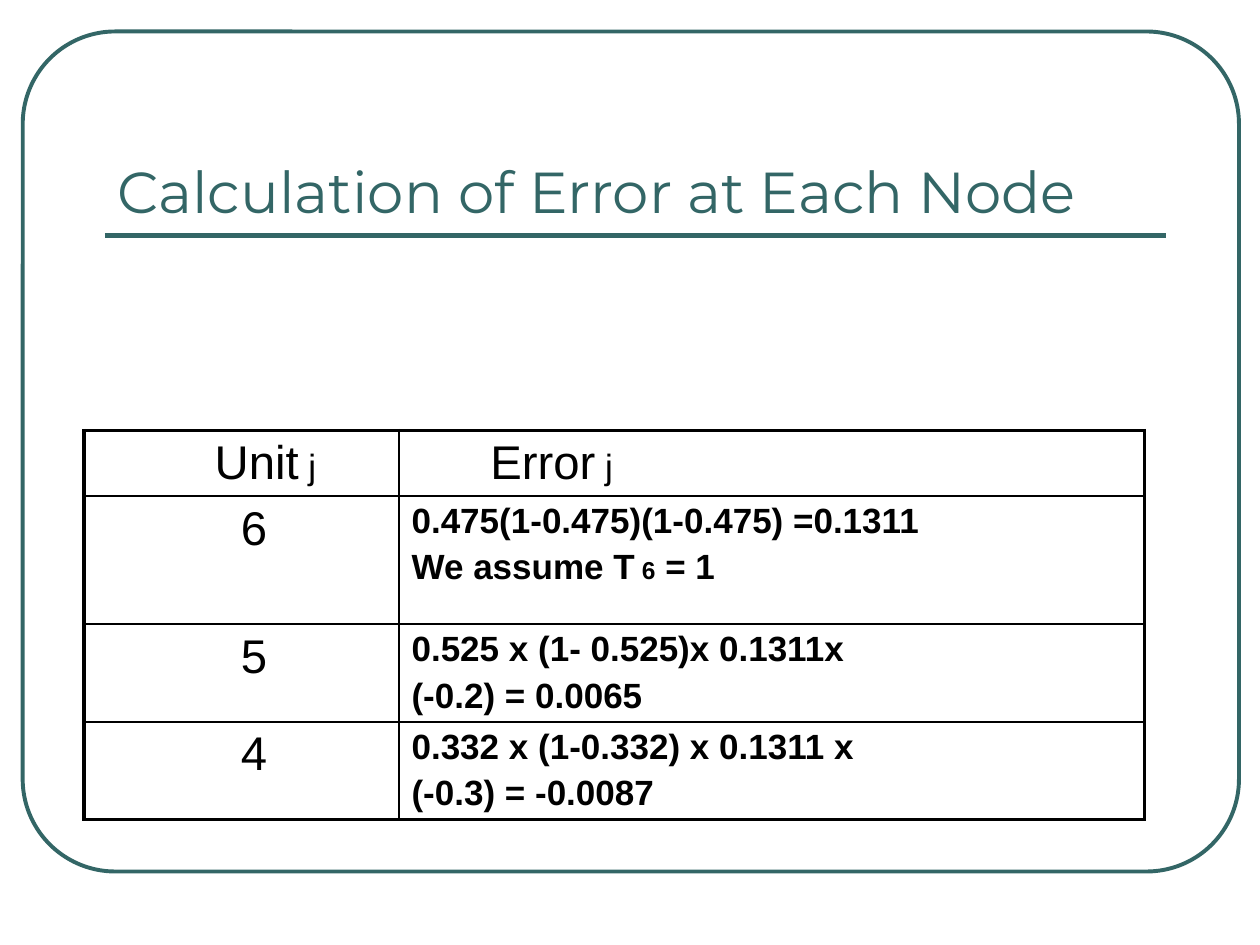
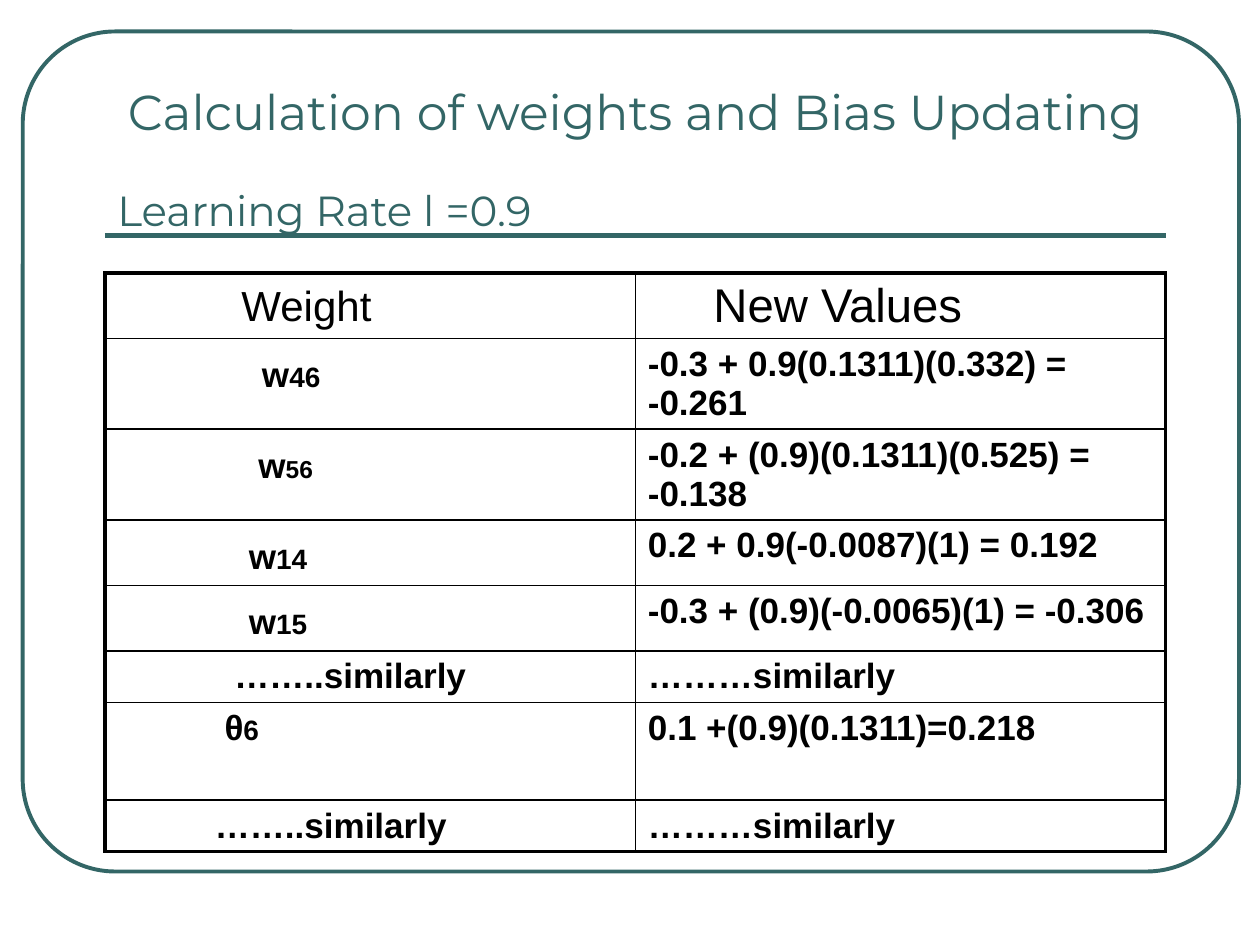
import pptx
import pptx.util
import pptx.dml.color
import pptx.enum.shapes
import pptx.enum.text
import pptx.oxml.ns
import lxml.etree

Pt = pptx.util.Pt

# Shared look
TEAL, BLACK = "336666", "000000"
TITLE_FONT, TABLE_FONT = "Montserrat", "Arial"
OUTER, INNER = 2.25, 1
HEAD, BODY = 27, 20
TOP_PADDING = 3.6
ASCENT = 0.905

# A cell is (indent, line size, paragraphs); a paragraph is a list of
# (text, size, bold). The line size sets how low the first line sits.


def formula(*lines):
    return 0, BODY, [[(line, BODY, True)] for line in lines]


def unit(number):
    return 82.5, HEAD, [[(number, HEAD, False)]]


def symbol(indent, letter, index, size=16, line_size=HEAD):
    return indent, line_size, [[(letter, BODY, True), (index, size, True)]]


def similarly(indent, text):
    return indent, BODY, [[(text, BODY, True)]]


# Content; each table row is (height, cells)
PAGES = [
    {
        "headings": [
            ("Calculation of Error at Each Node", 33, (60, 42, 606, 90)),
        ],
        "table_corner": (48, 246),
        "columns": (180, 426),
        "rows": [
            (37.4, [(67.5, HEAD, [[("Unit", HEAD, False), (" j", 20, False)]]),
                    (45, HEAD, [[("Error", HEAD, False), (" j", 20, False)]])]),
            (73.2, [unit("6"),
                    (0, BODY, [[("0.475(1-0.475)(1-0.475) =0.1311", BODY, True)],
                               [("We assume T", BODY, True), (" 6", 14, True),
                                (" = 1", BODY, True)]])]),
            (55.9, [unit("5"),
                    formula("0.525 x (1- 0.525)x 0.1311x", "(-0.2) = 0.0065")]),
            (55.9, [unit("4"),
                    formula("0.332 x (1-0.332) x 0.1311 x", "(-0.3) = -0.0087")]),
        ],
    },
    {
        "headings": [
            ("Calculation of weights and Bias Updating", 28, (66, 18, 606, 66)),
            ("Learning Rate l =0.9", 24, (60, 78, 606, 60)),
        ],
        "table_corner": (60, 156),
        "columns": (303, 303),
        "rows": [
            (37.4, [(70.8, HEAD, [[("Weight", 24, False)]]),
                    (37.5, HEAD, [[("New Values", HEAD, False)]])]),
            (51.9, [symbol(82.5, "w", "46"),
                    formula("-0.3 + 0.9(0.1311)(0.332) = -0.261")]),
            (51.9, [symbol(80.5, "w", "56", 14),
                    formula("-0.2 + (0.9)(0.1311)(0.525) = -0.138")]),
            (37.4, [symbol(75, "w", "14"),
                    formula("0.2 + 0.9(-0.0087)(1) = 0.192")]),
            (37.4, [symbol(75, "w", "15"),
                    formula("-0.3 + (0.9)(-0.0065)(1) = -0.306")]),
            (29.5, [similarly(66.7, "……..similarly"), formula("………similarly")]),
            (55.8, [symbol(61.1, "θ", "6", line_size=BODY),
                    formula("0.1 +(0.9)(0.1311)=0.218")]),
            (29.5, [similarly(55.6, "……..similarly"), formula("………similarly")]),
        ],
    },
]


def color(value):
    return pptx.dml.color.RGBColor.from_string(value)


def style(span, size, font, value, bold=False):
    span.font.size = Pt(size)
    span.font.name = font
    span.font.bold = bold
    span.font.color.rgb = color(value)


def child(parent, tag, **attributes):
    return lxml.etree.SubElement(parent, pptx.oxml.ns.qn(tag), attributes)


# Rounded frame and the rule under the title
def add_frame(page):
    frame = page.shapes.add_shape(
        pptx.enum.shapes.MSO_SHAPE.ROUNDED_RECTANGLE,
        Pt(13), Pt(18), Pt(695), Pt(480))
    frame.adjustments[0] = 0.11
    frame.shadow.inherit = False
    frame.fill.background()
    frame.line.color.rgb = color(TEAL)
    frame.line.width = Pt(2.25)
    rule = page.shapes.add_connector(
        pptx.enum.shapes.MSO_CONNECTOR.STRAIGHT,
        Pt(60), Pt(134.6), Pt(666), Pt(134.6))
    rule.line.color.rgb = color(TEAL)
    rule.line.width = Pt(3)
    child(rule.element.spPr, "a:effectLst")


def add_heading(page, text, size, place):
    box = page.shapes.add_textbox(*map(Pt, place))
    box.text_frame.word_wrap = True
    box.text_frame.vertical_anchor = pptx.enum.text.MSO_ANCHOR.BOTTOM
    box.text_frame.text = text
    style(box.text_frame.paragraphs[0].runs[0], size, TITLE_FONT, TEAL)


def set_borders(cell, widths):
    properties = cell._tc.get_or_add_tcPr()
    for side, width in zip("LRTB", widths):
        line = child(properties, f"a:ln{side}", w=str(Pt(width)))
        child(child(line, "a:solidFill"), "a:srgbClr", val=BLACK)


# No bottom margin, so that the text never stretches a row
def fill_cell(cell, indent, line_size, paragraphs):
    first_size = paragraphs[0][0][1]
    cell.margin_left = Pt(7.2 + indent)
    cell.margin_top = Pt(TOP_PADDING + (line_size - first_size) * ASCENT)
    cell.margin_bottom = Pt(0)
    for number, spans in enumerate(paragraphs):
        frame = cell.text_frame
        para = frame.add_paragraph() if number else frame.paragraphs[0]
        if number:
            para.space_before = Pt(0.2 * BODY)
        for text, size, bold in spans:
            span = para.add_run()
            span.text = text
            style(span, size, TABLE_FONT, BLACK, bold)


def add_grid(page, corner, columns, rows):
    last_row, last_column = len(rows) - 1, len(columns) - 1
    height = sum(row_height for row_height, cells in rows)
    table = page.shapes.add_table(
        len(rows), len(columns), *map(Pt, (*corner, sum(columns), height))).table
    table.first_row = table.horz_banding = False
    for column, width in zip(table.columns, columns):
        column.width = Pt(width)
    for r, (row_height, cells) in enumerate(rows):
        table.rows[r].height = Pt(row_height)
        for c, content in enumerate(cells):
            cell = table.cell(r, c)
            edges = (c == 0, c == last_column, r == 0, r == last_row)
            set_borders(cell, [OUTER if edge else INNER for edge in edges])
            cell.fill.background()
            fill_cell(cell, *content)


def main():
    deck = pptx.Presentation()
    deck.slide_width, deck.slide_height = Pt(720), Pt(540)
    for content in PAGES:
        page = deck.slides.add_slide(deck.slide_layouts[6])
        add_frame(page)
        for heading in content["headings"]:
            add_heading(page, *heading)
        add_grid(page, content["table_corner"], content["columns"], content["rows"])
    deck.save("out.pptx")


if __name__ == "__main__":
    main()
